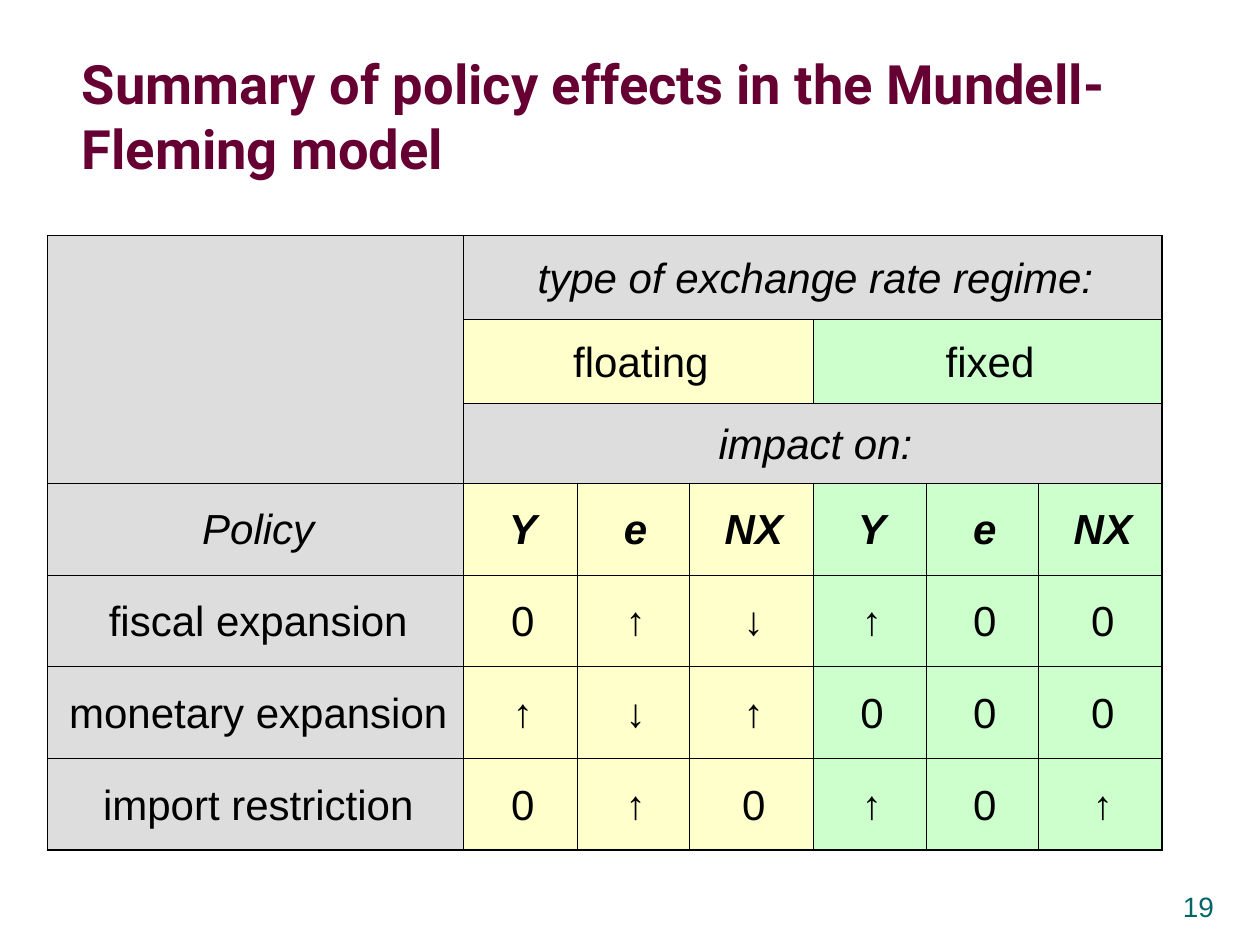
from lxml import etree
from pptx import Presentation
from pptx import util as u
from pptx.dml.color import RGBColor
from pptx.enum import text
from pptx.oxml import ns

MAROON = RGBColor(0x66, 0x00, 0x33)
TEAL = RGBColor(0x00, 0x66, 0x66)
BLACK = RGBColor(0x00, 0x00, 0x00)
GREY = RGBColor(0xDD, 0xDD, 0xDD)
YELLOW = RGBColor(0xFF, 0xFF, 0xCC)
GREEN = RGBColor(0xCC, 0xFF, 0xCC)

COLUMN_WIDTHS = [8.39] + [2.28, 2.27, 2.49] * 2
ROW_HEIGHTS = [1.69, 1.69, 1.61] + [1.85] * 4
HEADER_ROWS = (0, 2)
VARIABLE_ROW = 3
MERGES = [((0, 0), (2, 0)), ((0, 1), (0, 6)), ((1, 1), (1, 3)),
          ((1, 4), (1, 6)), ((2, 1), (2, 6))]
ROWS = [
    ["", "type of exchange rate regime:", "", "", "", "", ""],
    ["", "floating", "", "", "fixed", "", ""],
    ["", "impact on:", "", "", "", "", ""],
    ["Policy", "Y", "e", "NX", "Y", "e", "NX"],
    ["fiscal expansion", "0", "↑", "↓", "↑", "0", "0"],
    ["monetary expansion", "↑", "↓", "↑", "0", "0", "0"],
    ["import restriction", "0", "↑", "0", "↑", "0", "↑"],
]


def set_font(paragraph, name, size, color, bold=False, italic=False):
    font = paragraph.font
    font.name, font.size = name, u.Pt(size)
    font.bold, font.italic = bold, italic
    font.color.rgb = color


def add_title(slide, words):
    title = slide.shapes.title
    title.left, title.top = u.Cm(1.65), u.Cm(0.66)
    title.width, title.height = u.Cm(22.56), u.Cm(3.33)
    frame = title.text_frame
    frame.text = words
    frame.auto_size = text.MSO_AUTO_SIZE.NONE
    frame.vertical_anchor = text.MSO_ANCHOR.MIDDLE
    frame.margin_left = frame.margin_right = 0
    frame.margin_top = frame.margin_bottom = 0
    paragraph = frame.paragraphs[0]
    paragraph.alignment = text.PP_ALIGN.LEFT
    set_font(paragraph, "Roboto", 31, MAROON, bold=True)


def set_borders(cell, row, column):
    """Draw thin lines, and thicker ones along the outer edge of the table."""
    outer = {
        "L": column == 0,
        "R": column + cell.span_width == len(COLUMN_WIDTHS),
        "T": row == 0,
        "B": row + cell.span_height == len(ROW_HEIGHTS),
    }
    properties = cell._tc.get_or_add_tcPr()
    for side, is_outer in outer.items():
        line = etree.SubElement(properties, ns.qn(f"a:ln{side}"),
                                w=str(u.Pt(1.08 if is_outer else 0.45)))
        fill = etree.SubElement(line, ns.qn("a:solidFill"))
        etree.SubElement(fill, ns.qn("a:srgbClr"), val=str(BLACK))


def cell_color(row, column):
    if column == 0 or row in HEADER_ROWS:
        return GREY
    return YELLOW if column <= 3 else GREEN


def format_cell(cell, row, column, words):
    set_borders(cell, row, column)
    cell.fill.solid()
    cell.fill.fore_color.rgb = cell_color(row, column)
    cell.vertical_anchor = text.MSO_ANCHOR.MIDDLE
    cell.margin_left = cell.margin_right = u.Cm(0.15)
    cell.margin_top = cell.margin_bottom = u.Cm(0.13)
    if not words:
        return
    cell.text = words
    paragraph = cell.text_frame.paragraphs[0]
    paragraph.alignment = text.PP_ALIGN.CENTER
    paragraph.line_spacing = 1.05
    paragraph._p.get_or_add_pPr().set("marL", str(u.Cm(0.1)))
    set_font(paragraph, "Arial", 23 if words in "↑↓" else 24, BLACK,
             bold=row == VARIABLE_ROW and column > 0,
             italic=row in HEADER_ROWS or row == VARIABLE_ROW)


def add_policy_table(slide):
    table = slide.shapes.add_table(
        len(ROW_HEIGHTS), len(COLUMN_WIDTHS), u.Cm(0.96), u.Cm(4.75),
        u.Cm(sum(COLUMN_WIDTHS)), u.Cm(sum(ROW_HEIGHTS))).table
    table.first_row = table.horz_banding = False
    for column, width in zip(table.columns, COLUMN_WIDTHS):
        column.width = u.Cm(width)
    for row, height in zip(table.rows, ROW_HEIGHTS):
        row.height = u.Cm(height)
    for first, last in MERGES:
        table.cell(*first).merge(table.cell(*last))
    for row, entries in enumerate(ROWS):
        for column, words in enumerate(entries):
            format_cell(table.cell(row, column), row, column, words)


def add_page_number(slide, number):
    box = slide.shapes.add_textbox(u.Cm(23.66), u.Cm(17.81),
                                   u.Cm(1), u.Cm(0.61))
    frame = box.text_frame
    frame.word_wrap = False
    frame.margin_left = frame.margin_right = 0
    frame.text = number
    paragraph = frame.paragraphs[0]
    paragraph.alignment = text.PP_ALIGN.CENTER
    set_font(paragraph, "Arial", 16, TEAL)


def main():
    presentation = Presentation()
    presentation.slide_width, presentation.slide_height = u.Cm(25.4), u.Cm(19.05)
    slide = presentation.slides.add_slide(presentation.slide_layouts[5])
    add_page_number(slide, "19")
    add_title(slide, "Summary of policy effects in the Mundell-Fleming model")
    add_policy_table(slide)
    presentation.save("out.pptx")


if __name__ == "__main__":
    main()
